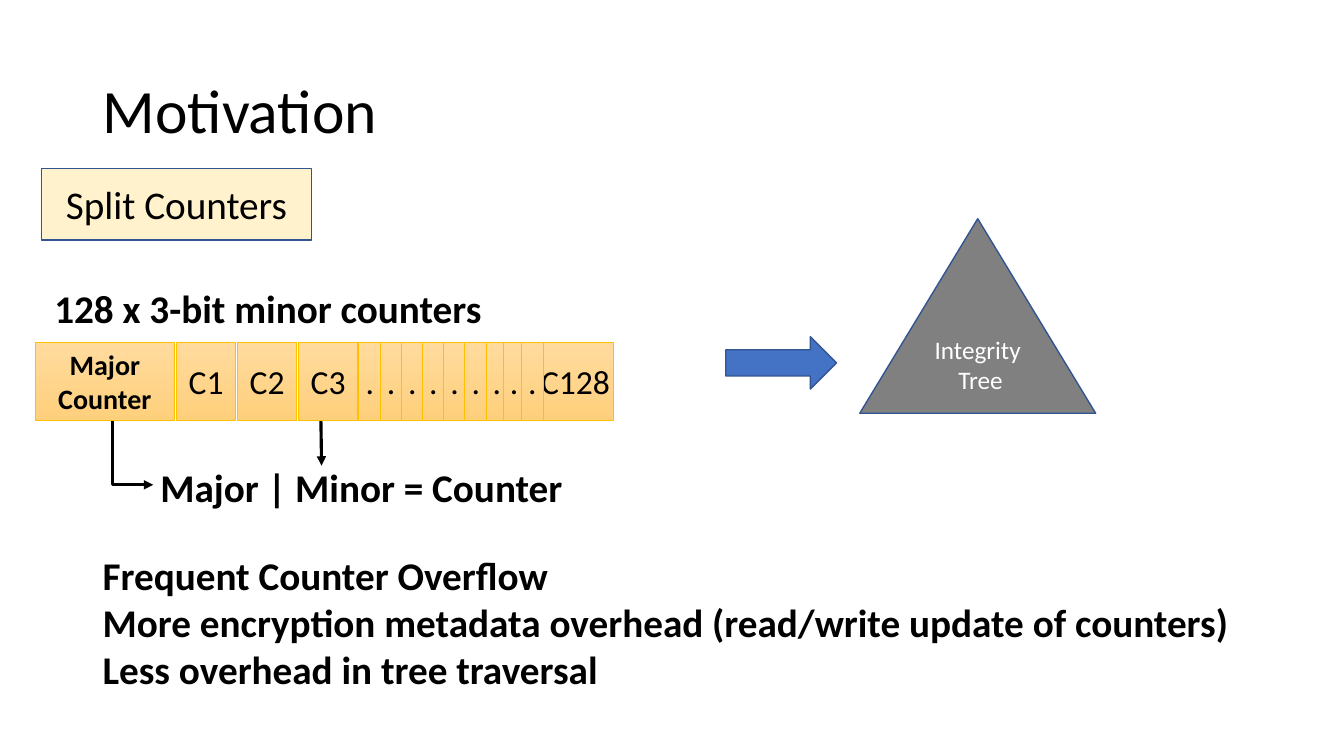
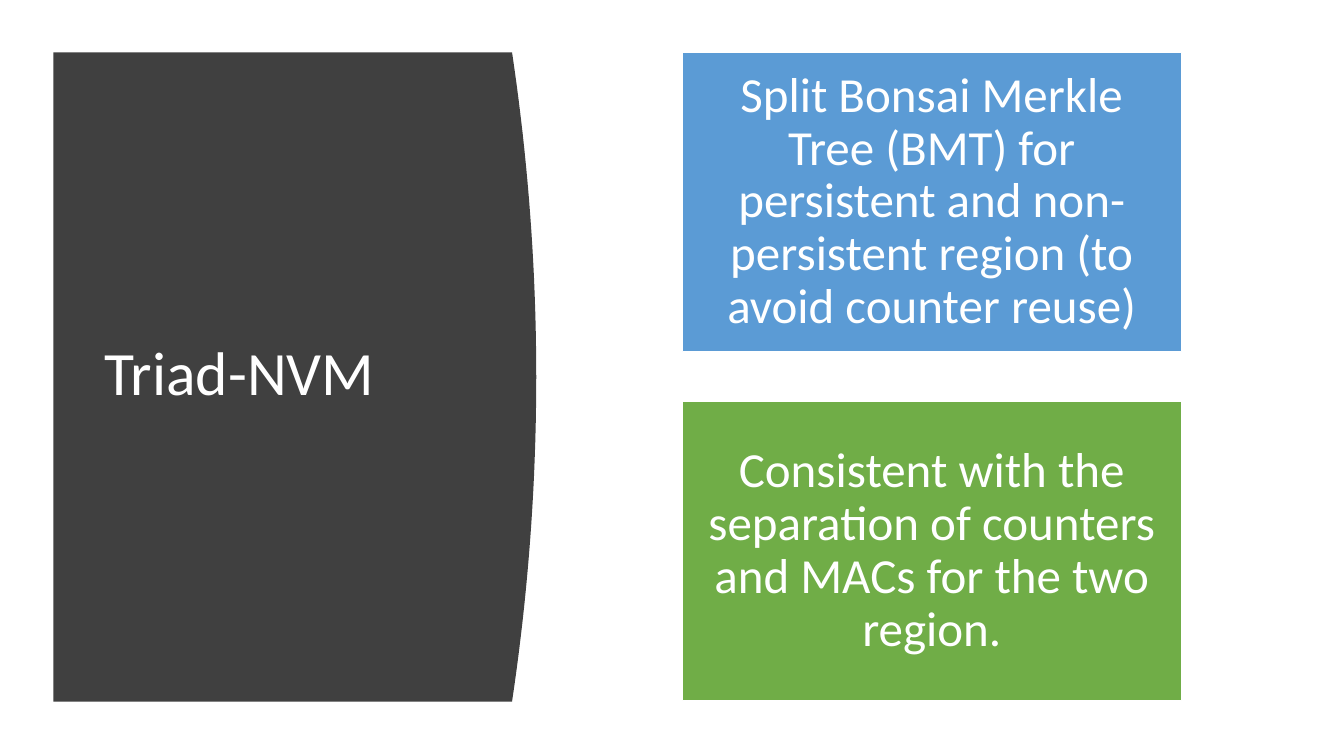
"""Build two slides on split counters and persistent integrity trees."""
from dataclasses import dataclass
from typing import Any, NamedTuple

from lxml import etree
from pptx import Presentation
from pptx.dml.color import RGBColor
from pptx.enum.shapes import MSO_CONNECTOR, MSO_SHAPE
from pptx.enum.text import MSO_ANCHOR, PP_ALIGN
from pptx.oxml.ns import qn
from pptx.util import Pt

RECTANGLE, TRIANGLE = MSO_SHAPE.RECTANGLE, MSO_SHAPE.ISOSCELES_TRIANGLE
RIGHT_ARROW = MSO_SHAPE.RIGHT_ARROW
STRAIGHT, ELBOW = MSO_CONNECTOR.STRAIGHT, MSO_CONNECTOR.ELBOW
TOP, MIDDLE = MSO_ANCHOR.TOP, MSO_ANCHOR.MIDDLE
LEFT, CENTER = PP_ALIGN.LEFT, PP_ALIGN.CENTER


@dataclass(frozen=True)
class Theme:
    font: str = "Calibri"
    ink: str = "000000"
    paper: str = "FFFFFF"
    outline: str = "325491"
    cream: str = "FFF2CC"
    cell_top: str = "FFDB9E"
    cell_bottom: str = "FFD07C"
    cell_edge: str = "FFC000"
    arrow: str = "4472C4"
    tree: str = "808080"
    panel: str = "404040"
    blue: str = "5B9BD5"
    green: str = "70AD47"
    title_size: float = 44
    point_size: float = 35
    body_size: float = 28
    cell_size: float = 24
    major_size: float = 20
    tree_size: float = 18


THEME = Theme()


class Box(NamedTuple):
    left: float
    top: float
    width: float
    height: float


class Edge(NamedTuple):
    color: str
    width: float


@dataclass(frozen=True)
class Words:
    lines: tuple[str, ...]
    size: float = THEME.body_size
    color: str = THEME.ink
    bold: bool = False
    align: Any = CENTER
    anchor: Any = MIDDLE
    spacing: float = 1.0
    inset: tuple[float, float] = (7.2, 3.6)


@dataclass(frozen=True)
class Figure:
    box: Box
    fills: tuple[str, ...]
    edge: Edge
    words: Words | None = None
    outline: Any = RECTANGLE


def apply(target: Any, formats: dict[str, Any]) -> None:
    """Set each named format value on the target."""
    for name, value in formats.items():
        setattr(target, name, value)


def points(box: Box) -> list[int]:
    """Convert a box in points to lengths."""
    return [Pt(length) for length in box]


def write(frame: Any, words: Words) -> None:
    """Fill a text frame with formatted lines."""
    across, down = map(Pt, words.inset)
    apply(frame, {"word_wrap": True, "vertical_anchor": words.anchor,
                  "margin_left": across, "margin_right": across,
                  "margin_top": down, "margin_bottom": down})
    for index, line in enumerate(words.lines):
        paragraph = frame.add_paragraph() if index else frame.paragraphs[0]
        apply(paragraph, {"alignment": words.align, "line_spacing": words.spacing})
        run = paragraph.add_run()
        run.text = line
        apply(run.font, {"name": THEME.font, "size": Pt(words.size), "bold": words.bold})
        run.font.color.rgb = RGBColor.from_string(words.color)


def add_words(slide: Any, box: Box, words: Words) -> None:
    """Place a text box."""
    write(slide.shapes.add_textbox(*points(box)).text_frame, words)


def add_title(slide: Any, box: Box, title: str, color: str) -> None:
    """Place a slide title in the shared style."""
    add_words(slide, box, Words((title,), THEME.title_size, color, align=LEFT, spacing=0.9))


def paint(shape: Any, fills: tuple[str, ...], edge: Edge | None) -> None:
    """Give a shape its solid or top-down gradient fill and its edge."""
    shape.shadow.inherit = False
    colors = [RGBColor.from_string(fill) for fill in fills]
    if len(colors) == 1:
        shape.fill.solid()
        shape.fill.fore_color.rgb = colors[0]
    else:
        shape.fill.gradient()
        shape.fill.gradient_angle = 270
        for stop, color in zip(shape.fill.gradient_stops, colors):
            stop.color.rgb = color
    if edge:
        shape.line.color.rgb = RGBColor.from_string(edge.color)
        shape.line.width = Pt(edge.width)
    else:
        shape.line.fill.background()


def add_figure(slide: Any, figure: Figure) -> None:
    """Place a preset shape with its words."""
    shape = slide.shapes.add_shape(figure.outline, *points(figure.box))
    paint(shape, figure.fills, figure.edge)
    if figure.words:
        write(shape.text_frame, figure.words)


def add_arrow(slide: Any, kind: Any, start: tuple[float, float],
              end: tuple[float, float]) -> Any:
    """Draw a connector with a triangular tip."""
    arrow = slide.shapes.add_connector(kind, *map(Pt, start + end))
    arrow.line.color.rgb = RGBColor.from_string(THEME.ink)
    arrow.line.width = Pt(2.25)
    properties = arrow.element.find(qn("p:spPr"))
    etree.SubElement(properties.find(qn("a:ln")), qn("a:tailEnd"), type="triangle")
    etree.SubElement(properties, qn("a:effectLst"))
    return arrow


def add_corner_arrow(slide: Any, start: tuple[float, float],
                     end: tuple[float, float]) -> None:
    """Draw an arrow that runs down and then right."""
    middle_x, middle_y = (start[0] + end[0]) / 2, (start[1] + end[1]) / 2
    half_across, half_down = (end[0] - start[0]) / 2, (end[1] - start[1]) / 2
    arrow = add_arrow(slide, ELBOW, (middle_x - half_down, middle_y + half_across),
                      (middle_x + half_down, middle_y - half_across))
    arrow.rotation = 90
    arrow.element.find(qn("p:spPr")).find(qn("a:prstGeom")).set("prst", "bentConnector2")


def counter_cell(left: float, width: float, *lines: str,
                 size: float = THEME.cell_size, bold: bool = False) -> Figure:
    """Describe one cell of the counter row."""
    return Figure(Box(left, 244.8, width, 55.44), (THEME.cell_top, THEME.cell_bottom),
                  Edge(THEME.cell_edge, 0.5),
                  Words(lines, size, bold=bold, inset=(0, 3.6)))


def counter_row() -> list[Figure]:
    """List the cells, with the dots lying over the last counter."""
    dots = [256.32 + 15.12 * i for i in range(7)] + [359.28, 372.24]
    return [
        counter_cell(25.2, 99.36, "Major", "Counter", size=THEME.major_size, bold=True),
        *(counter_cell(126 + 43.56 * i, 42.48, f"C{i + 1}") for i in range(3)),
        counter_cell(383.76, 54.72, "C128"),
        *(counter_cell(left, 15.84, ".") for left in dots),
    ]


def build_motivation(slide: Any) -> None:
    """Draw the split counters and the integrity tree."""
    add_title(slide, Box(66.24, 28.8, 828, 104.4), "Motivation", THEME.ink)
    add_arrow(slide, STRAIGHT, (229, 284.4), (229.7, 332.64))
    add_corner_arrow(slide, (80.64, 295.92), (109.44, 346.32))
    edge = Edge(THEME.outline, 1)
    figures = counter_row() + [
        Figure(Box(29.52, 120.24, 192.96, 51.12), (THEME.cream,), edge,
               Words(("Split Counters",))),
        Figure(Box(518.4, 240.48, 79.2, 37.44), (THEME.arrow,), edge, outline=RIGHT_ARROW),
        Figure(Box(614.16, 156.24, 168.48, 138.96), (THEME.tree,), edge,
               Words(("Integrity", " Tree"), THEME.tree_size, THEME.paper),
               TRIANGLE),
    ]
    for figure in figures:
        add_figure(slide, figure)
    notes = (
        (Box(90, 327.6, 336.24, 41.04), CENTER, ("Major | Minor = Counter",)),
        (Box(31.68, 199.44, 366.48, 41.04), LEFT, ("128 x 3-bit minor counters",)),
        (Box(66.24, 390.24, 846, 108.72), LEFT, (
            "Frequent Counter Overflow",
            "More encryption metadata overhead (read/write update of counters)",
            "Less overhead in tree traversal")),
    )
    for box, align, lines in notes:
        add_words(slide, box, Words(lines, bold=True, align=align, anchor=TOP))


def add_bulging_panel(slide: Any, box: Box, bulge: float, steps: int = 40) -> None:
    """Draw a panel whose right side bulges along a parabola."""
    right, bottom = box.left + box.width, box.top + box.height
    curve = [(right + 4 * bulge * t * (1 - t), box.top + box.height * t)
             for t in (i / steps for i in range(steps + 1))]
    builder = slide.shapes.build_freeform(Pt(box.left), Pt(box.top))
    builder.add_line_segments([(Pt(x), Pt(y)) for x, y in curve + [(box.left, bottom)]])
    paint(builder.convert_to_shape(), (THEME.panel,), None)


def build_triad(slide: Any) -> None:
    """Draw the dark title panel and the two design points."""
    add_bulging_panel(slide, Box(38.16, 37.44, 327.6, 463.68), 17.28)
    add_title(slide, Box(67.68, 79.92, 269.28, 377.28), "Triad-NVM", THEME.paper)
    design_points = (
        (THEME.blue, "Split Bonsai Merkle Tree (BMT) for persistent and "
                     "non-persistent region (to avoid counter reuse)"),
        (THEME.green, "Consistent with the separation of counters and MACs "
                      "for the two region."),
    )
    for index, (fill, sentence) in enumerate(design_points):
        add_figure(slide, Figure(
            Box(487.44, 37.44 + 249.12 * index, 356.4, 213.84), (fill,),
            Edge(THEME.paper, 1),
            Words((sentence,), THEME.point_size, THEME.paper, spacing=0.9,
                  inset=(10.8, 10.8))))


def main() -> None:
    """Build and save the presentation."""
    deck = Presentation()
    apply(deck, {"slide_width": Pt(960), "slide_height": Pt(540)})
    for build in (build_motivation, build_triad):
        build(deck.slides.add_slide(deck.slide_layouts[6]))
    deck.save("out.pptx")


main()
